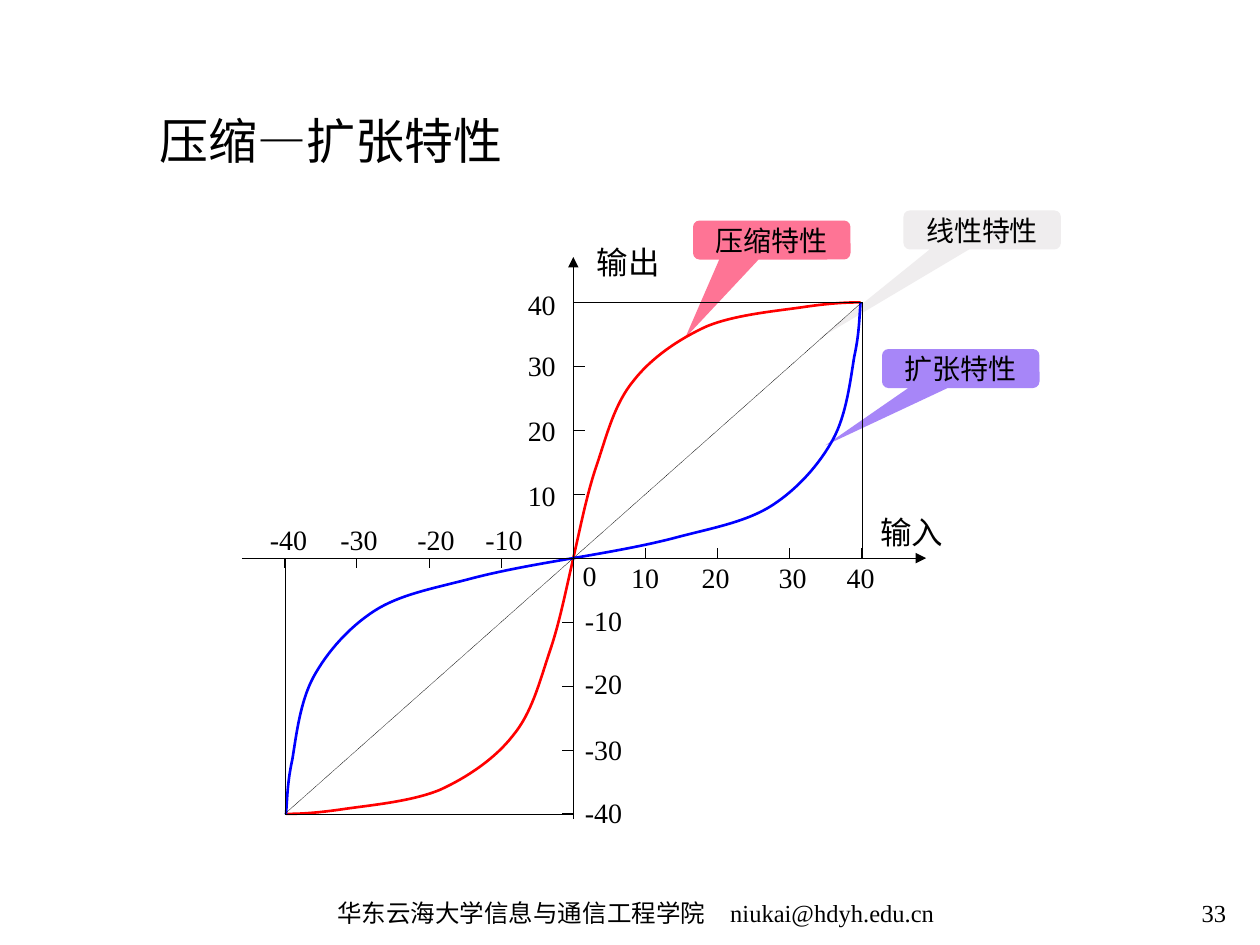
from lxml.etree import SubElement
from pptx import Presentation
from pptx.dml.color import RGBColor
from pptx.enum.dml import MSO_LINE
from pptx.enum.shapes import MSO_CONNECTOR, MSO_SHAPE
from pptx.enum.text import PP_ALIGN
from pptx.oxml.ns import qn
from pptx.util import Inches, Pt

deck = Presentation()
deck.slide_width, deck.slide_height = Inches(10), Inches(7.5)
slide = deck.slides.add_slide(deck.slide_layouts[6])
shapes = slide.shapes


def write(text, left, top, width, height, size=16, align=PP_ALIGN.CENTER,
          pad=(0.02, 0.01), wrap=True, fill=None, tip=None):
    """Add a text box, or a filled callout whose tail ends at tip."""
    area = [Inches(n) for n in (left, top, width, height)]
    if tip:
        box = shapes.add_shape(MSO_SHAPE.ROUNDED_RECTANGULAR_CALLOUT, *area)
        box.adjustments[0], box.adjustments[1] = tip
        box.fill.solid()
        box.fill.fore_color.rgb = RGBColor.from_string(fill)
        box.line.fill.background()
        box.shadow.inherit = False
    else:
        box = shapes.add_textbox(*area)
    frame = box.text_frame
    frame.word_wrap = wrap
    frame.margin_left = frame.margin_right = Inches(pad[0])
    frame.margin_top = frame.margin_bottom = Inches(pad[1])
    para = frame.paragraphs[0]
    para.alignment = align
    run = para.add_run()
    run.text = text
    run.font.size, run.font.name = Pt(size), "Times New Roman"
    run.font.color.rgb = RGBColor.from_string("000000")


def draw(x1, y1, x2, y2, width=0.5, dots=False, arrow=False):
    ends = [Inches(n) for n in (x1, y1, x2, y2)]
    rule = shapes.add_connector(MSO_CONNECTOR.STRAIGHT, *ends)
    rule.line.width = Pt(width)
    rule.line.color.rgb = RGBColor.from_string("000000")
    if dots:
        rule.line.dash_style = MSO_LINE.ROUND_DOT
    if arrow:
        SubElement(rule.line._get_or_add_ln(), qn("a:tailEnd"), type="triangle")
    SubElement(rule._element.spPr, qn("a:effectLst"))


# Title, footer and page number
wide = (0.1, 0.05)
write("压缩—扩张特性", 1.17, 0.83, 2.92, 0.57, size=28, align=PP_ALIGN.LEFT,
      pad=wide, wrap=False)
write("华东云海大学信息与通信工程学院　niukai@hdyh.edu.cn", 2.42, 7.08, 5.25, 0.33,
      size=14, pad=wide)
write("33", 7.75, 7.08, 2.08, 0.33, size=14, align=PP_ALIGN.RIGHT, pad=wide)

# Callouts
for text, left, top, fill, tip in (
    ("线性特性", 7.17, 1.67, "EFEDEE", (-1.03, 2.77)),
    ("压缩特性", 5.5, 1.75, "FE7495", (-0.55, 2.51)),
    ("扩张特性", 7, 2.77, "A786F8", (-0.86, 1.97)),
):
    write(text, left, top, 1.25, 0.31, fill=fill, tip=tip)

# Curves: Bezier points of the upper half, mirrored through the origin
x0, y0 = 4.55, 4.43
compress = [
    (4.61, 4.17), (4.66, 3.91), (4.74, 3.68), (4.82, 3.44), (4.88, 3.2),
    (5.03, 3.02), (5.17, 2.84), (5.39, 2.69), (5.61, 2.59), (5.83, 2.5),
    (6.15, 2.47), (6.36, 2.44), (6.56, 2.41), (6.7, 2.4), (6.83, 2.4)]
expand = [
    (4.84, 4.38), (5.13, 4.33), (5.39, 4.26), (5.66, 4.19), (5.93, 4.14),
    (6.13, 4.01), (6.33, 3.88), (6.5, 3.69), (6.61, 3.49), (6.72, 3.29),
    (6.75, 3.01), (6.78, 2.83), (6.82, 2.65), (6.82, 2.52), (6.83, 2.4)]
for points, color in ((compress, "FF0000"), (expand, "0000FF")):
    for sign in (1, -1):
        pen = shapes.build_freeform(Inches(x0), Inches(y0))
        pen.add_line_segments(
            [(Inches(x0 + sign * (x - x0)), Inches(y0 + sign * (y - y0)))
             for x, y in points], close=False)
        curve = pen.convert_to_shape()
        curve.fill.background()
        curve.line.width = Pt(1.5)
        curve.line.color.rgb = RGBColor.from_string(color)
        curve.shadow.inherit = False
        # Turn every three straight segments into one Bezier segment
        route = next(curve._element.iter(qn("a:path")))
        steps = route.findall(qn("a:lnTo"))
        for i in range(0, len(steps), 3):
            bend = SubElement(route, qn("a:cubicBezTo"))
            for step in steps[i:i + 3]:
                bend.append(step[0])
                route.remove(step)

# Axes
draw(x0, 6.5, x0, 2.04, arrow=True)
draw(1.92, y0, 7.35, y0, arrow=True)
write("输入", 6.88, 4.06, 0.71, 0.31, size=18)
write("输出", 4.63, 1.92, 0.71, 0.31, size=18)
write("0", 4.44, 4.42, 0.48, 0.28)

# Ticks, and the dotted frame around each half
span, rise = 2.29, 2.03
for sign in (1, -1):
    for i in range(1, 5):
        x, y = x0 + sign * i * span / 4, y0 - sign * i * rise / 4
        draw(x, y0, x, y0 - sign * 0.08)
        draw(x0, y, x0 + sign * 0.09, y)
    x, y = x0 + sign * span, y0 - sign * rise
    draw(x, y, x0, y, width=0.25, dots=True)
    draw(x, y, x, y0, width=0.25, dots=True)
draw(x0 + span, y0 - rise, x0 - span, y0 + rise, width=0.25, dots=True)

# Tick labels: sign, left edges along x, top of that row,
# top edges along y, left of that column
for sign, lefts, row, tops, column in (
    ("", (4.88, 5.44, 6.05, 6.59), 4.44, (3.79, 3.27, 2.76, 2.27), 4.06),
    ("-", (3.76, 3.22, 2.61, 2.05), 4.14, (4.78, 5.28, 5.8, 6.3), 4.55),
):
    for i, (left, top) in enumerate(zip(lefts, tops), 1):
        write(f"{sign}{i * 10}", left, row, 0.48, 0.28)
        write(f"{sign}{i * 10}", column, top, 0.48, 0.28)

deck.save("out.pptx")
